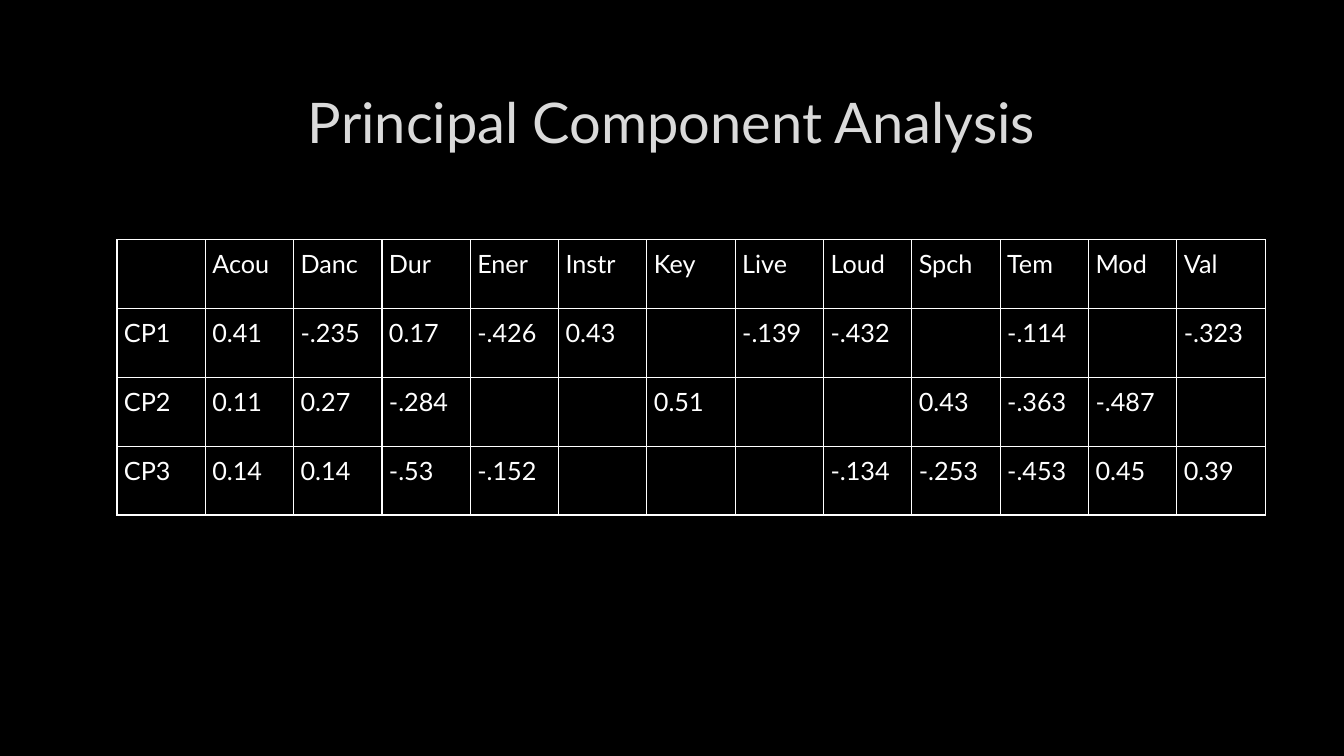
from lxml.etree import SubElement
from pptx import Presentation
from pptx.dml.color import RGBColor
from pptx.enum.text import MSO_ANCHOR as Anchor, PP_ALIGN as Align
from pptx.oxml import parse_xml
from pptx.oxml.ns import nsdecls, qn
from pptx.util import Inches, Pt

BLACK = RGBColor(0x00, 0x00, 0x00)
WHITE = RGBColor(0xFF, 0xFF, 0xFF)
SILVER = RGBColor(0xDA, 0xDA, 0xDA)
CHARCOAL = RGBColor(0x40, 0x40, 0x40)

FONT = "Lato"
PADDING = Inches(0.07)
TITLE_BOX = (1, 0.67, 11.32, 1.06)
TABLE_BOX = (1.16, 2.38, 11.39, 2.73)

LOADINGS = [
    ["", "Acou", "Danc", "Dur", "Ener", "Instr", "Key", "Live", "Loud", "Spch", "Tem", "Mod", "Val"],
    ["CP1", "0.41", "-.235", "0.17", "-.426", "0.43", "", "-.139", "-.432", "", "-.114", "", "-.323"],
    ["CP2", "0.11", "0.27", "-.284", "", "", "0.51", "", "", "0.43", "-.363", "-.487", ""],
    ["CP3", "0.14", "0.14", "-.53", "-.152", "", "", "", "-.134", "-.253", "-.453", "0.45", "0.39"],
]


def write(frame, text, size=18, color=WHITE, align=Align.LEFT, spacing=None):
    para = frame.paragraphs[0]
    para.alignment = align
    para.line_spacing = spacing
    span = para.add_run()
    span.text = text
    span.font.name = FONT
    span.font.size = Pt(size)
    span.font.color.rgb = color
    return span


def line_xml(tag, color, width, alpha=100):
    """Build a solid line element; width in points, alpha in percent."""
    line = parse_xml(f'<a:{tag} {nsdecls("a")} w="{Pt(width)}"/>')
    fill = SubElement(line, qn("a:solidFill"))
    shade = SubElement(fill, qn("a:srgbClr"), val=str(color))
    if alpha < 100:
        SubElement(shade, qn("a:alpha"), val=str(alpha * 1000))
    return line


def add_title(slide, box, text):
    title = slide.shapes.title
    title.left, title.top, title.width, title.height = map(Inches, box)
    title.text_frame.vertical_anchor = Anchor.MIDDLE
    title.text_frame.word_wrap = True
    span = write(title.text_frame, text, size=40, color=SILVER, align=Align.CENTER)
    span.font._element.insert(0, line_xml("ln", CHARCOAL, 0.75, alpha=10))


def format_cell(cell, text):
    cell.margin_left = cell.margin_right = PADDING
    cell.margin_top = cell.margin_bottom = PADDING
    cell.fill.background()
    if text:
        write(cell.text_frame, text, spacing=1.07)
    properties = cell._tc.get_or_add_tcPr()
    for position, side in enumerate(("lnL", "lnR", "lnT", "lnB")):
        properties.insert(position, line_xml(side, WHITE, 1))


def add_loadings_table(slide, box, rows):
    left, top, width, height = map(Inches, box)
    row_count, column_count = len(rows), len(rows[0])
    table = slide.shapes.add_table(row_count, column_count, left, top, width, height).table
    table.first_row = table.horz_banding = False
    for column in table.columns:
        column.width = width // column_count
    for row, texts in zip(table.rows, rows):
        row.height = height // row_count
        for cell, text in zip(row.cells, texts):
            format_cell(cell, text)


def main():
    deck = Presentation()
    deck.slide_width, deck.slide_height = Inches(13.33), Inches(7.5)
    slide = deck.slides.add_slide(deck.slide_layouts[5])
    slide.background.fill.solid()
    slide.background.fill.fore_color.rgb = BLACK
    add_title(slide, TITLE_BOX, "Principal Component Analysis")
    add_loadings_table(slide, TABLE_BOX, LOADINGS)
    deck.save("out.pptx")


if __name__ == "__main__":
    main()
